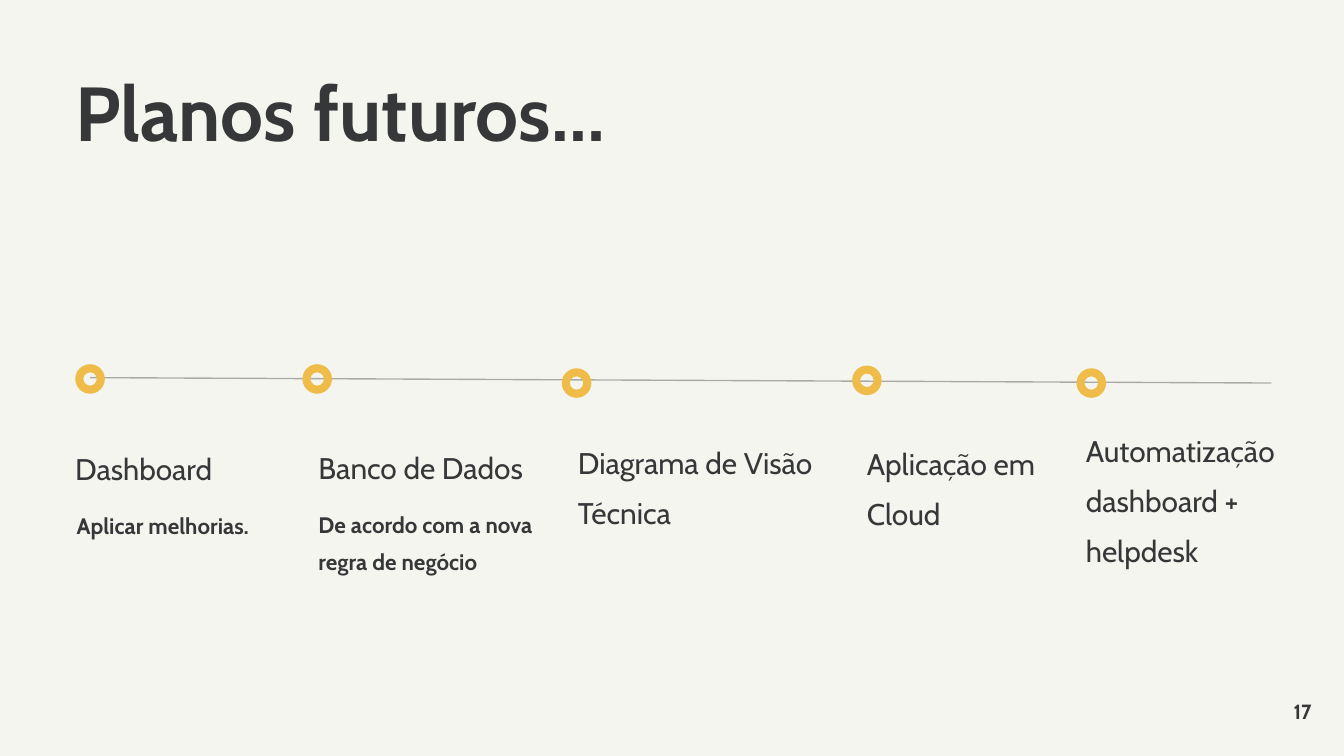
from lxml import etree
from pptx import Presentation
from pptx.dml.color import RGBColor
from pptx.enum.shapes import MSO_CONNECTOR, MSO_SHAPE
from pptx.enum.text import MSO_ANCHOR, PP_ALIGN
from pptx.oxml.ns import qn
from pptx.util import Inches, Pt

STRAIGHT = MSO_CONNECTOR.STRAIGHT
DONUT = MSO_SHAPE.DONUT
TOP, MIDDLE = MSO_ANCHOR.TOP, MSO_ANCHOR.MIDDLE
LEFT, RIGHT = PP_ALIGN.LEFT, PP_ALIGN.RIGHT

BACKGROUND = RGBColor(0xF5, 0xF5, 0xEF)
INK = RGBColor(0x36, 0x37, 0x39)
YELLOW = RGBColor(0xEF, 0xBC, 0x49)

FONT = "Cabin"
RING_SIZE = 0.22
RING_THICKNESS = 0.06
LABEL_WIDTH = 1.84
LABEL_LINE = 0.38
DETAIL_LINE = 0.28

MILESTONES = [
    {"ring": (0.56, 2.71), "position": (0.56, 3.25), "label": "Dashboard", "lines": 1},
    {"ring": (2.25, 2.71), "position": (2.37, 3.24), "label": "Banco de Dados", "lines": 1},
    {"ring": (4.18, 2.74), "position": (4.3, 3.2),
     "label": "Diagrama de Visão Técnica", "lines": 2},
    {"ring": (6.34, 2.72), "position": (6.45, 3.21),
     "label": "Aplicação em Cloud", "lines": 2},
    {"ring": (8.01, 2.74), "position": (8.08, 3.11),
     "label": "Automatização dashboard + helpdesk", "lines": 3},
]
DETAILS = [
    ((0.57, 3.73), "Aplicar melhorias.", 1),
    ((2.37, 3.72), "De acordo com a nova regra de negócio", 2),
]


def add_text(slide, box, text, size, bold=False, spacing=1.0, align=LEFT, anchor=TOP):
    """Add a wrapped text box without margins."""
    shape = slide.shapes.add_textbox(*(Inches(value) for value in box))
    frame = shape.text_frame
    frame.word_wrap = True
    frame.vertical_anchor = anchor
    frame.margin_left = frame.margin_right = frame.margin_top = frame.margin_bottom = 0
    paragraph = frame.paragraphs[0]
    paragraph.text = text
    paragraph.alignment = align
    paragraph.line_spacing = spacing
    paragraph.font.name = FONT
    paragraph.font.size = Pt(size)
    paragraph.font.bold = bold
    paragraph.font.color.rgb = INK


def add_axis(slide, box):
    """Draw the translucent timeline from the box's top left to its bottom right."""
    left, top, width, height = box
    line = slide.shapes.add_connector(
        STRAIGHT, Inches(left), Inches(top), Inches(left + width), Inches(top + height))
    line.line.color.rgb = INK
    line.line.width = Pt(0.75)
    properties = line._element.spPr
    color = properties.find(".//" + qn("a:srgbClr"))
    etree.SubElement(color, qn("a:alpha"), val="39000")
    etree.SubElement(properties, qn("a:effectLst"))


def add_ring(slide, left, top):
    """Draw one milestone ring."""
    ring = slide.shapes.add_shape(
        DONUT, Inches(left), Inches(top), Inches(RING_SIZE), Inches(RING_SIZE))
    ring.adjustments[0] = RING_THICKNESS / RING_SIZE
    ring.shadow.inherit = False
    ring.fill.solid()
    ring.fill.fore_color.rgb = YELLOW
    ring.line.fill.background()


def add_milestone(slide, ring, position, label, lines):
    """Place a ring with its label."""
    add_ring(slide, *ring)
    add_text(slide, (*position, LABEL_WIDTH, lines * LABEL_LINE), label, 16, spacing=1.4)


def add_detail(slide, position, text, lines):
    """Place the bold detail under a milestone label."""
    box = (*position, LABEL_WIDTH, lines * DETAIL_LINE)
    add_text(slide, box, text, 12, bold=True, spacing=1.4)


def main():
    """Build and save the slide."""
    presentation = Presentation()
    presentation.slide_width = Inches(10)
    presentation.slide_height = presentation.slide_width * 9 // 16
    slide = presentation.slides.add_slide(presentation.slide_layouts[6])
    slide.background.fill.solid()
    slide.background.fill.fore_color.rgb = BACKGROUND
    add_axis(slide, (0.67, 2.81, 8.79, 0.04))
    for milestone in MILESTONES:
        add_milestone(slide, **milestone)
    for detail in DETAILS:
        add_detail(slide, *detail)
    add_text(slide, (0.56, 0.56, 7.09, 0.79), "Planos futuros…", 41, bold=True, spacing=0.9)
    add_text(slide, (9.16, 5.19, 0.6, 0.2), "17", 11, bold=True, align=RIGHT, anchor=MIDDLE)
    presentation.save("out.pptx")


if __name__ == "__main__":
    main()
